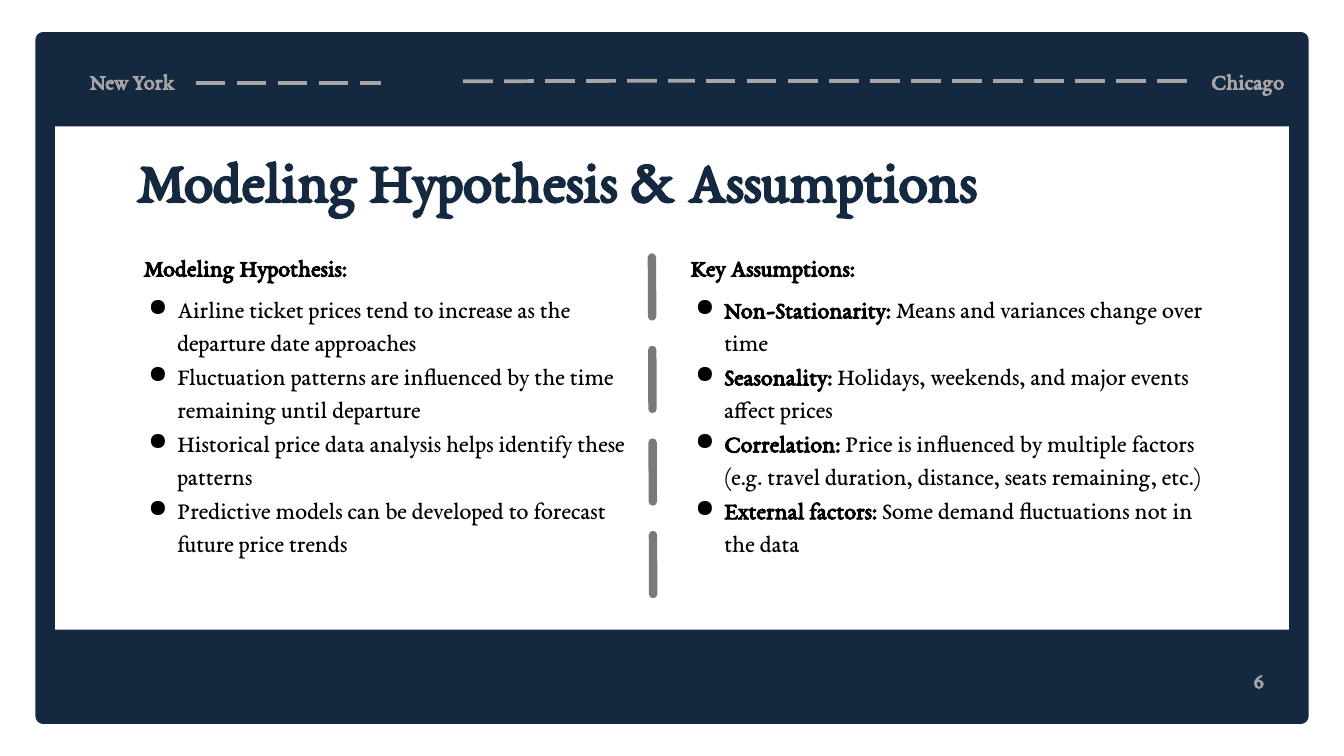
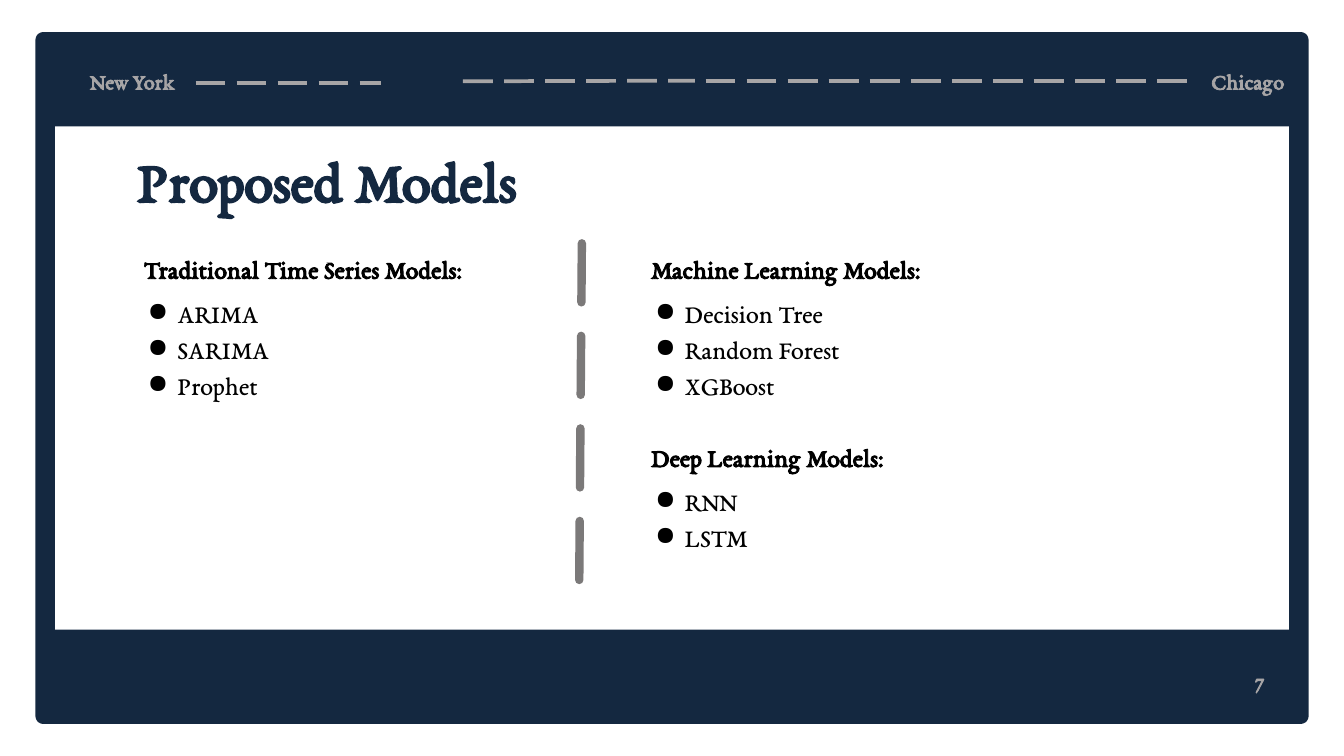
from lxml.etree import SubElement
from pptx import Presentation
from pptx.dml.color import RGBColor
from pptx.enum.dml import MSO_LINE
from pptx.enum.shapes import MSO_CONNECTOR as Wire, MSO_SHAPE as Shape
from pptx.enum.text import MSO_ANCHOR as Anchor, MSO_AUTO_SIZE as Fit, PP_ALIGN as Align
from pptx.oxml.ns import qn
from pptx.util import Pt

PX = 9144
NAVY, GRAY, STONE, BLACK, WHITE = "142840", "A7A5A6", "7B7979", "000000", "FFFFFF"
FONT = "EB Garamond"

CITIES = [("New York", 134, Align.LEFT), ("Chicago", 1684, Align.RIGHT)]
TRACKS = [(689, 121, 1034, 120), (1050, 120, 1767, 120), (291, 123, 567, 123)]

PLANS = [
    {
        "title": "Modeling Hypothesis & Assumptions",
        "page": "6",
        "rule": (972, 884, 970, 351),
        "look": {"size": 26, "hang": 43, "align": Align.LEFT},
        "lists": [
            ((204, 359, 753, 542), "Modeling Hypothesis:", [
                ("", "Airline ticket prices tend to increase as the departure date approaches"),
                ("", "Fluctuation patterns are influenced by the time remaining until departure"),
                ("", "Historical price data analysis helps identify these patterns"),
                ("", "Predictive models can be developed to forecast future price trends"),
            ]),
            ((1018, 359, 797, 479), "Key Assumptions:", [
                ("Non-Stationarity: ", "Means and variances change over time"),
                ("Seasonality:", " Holidays, weekends, and major events affect prices"),
                ("Correlation: ", "Price is influenced by multiple factors "
                 "(e.g. travel duration, distance, seats remaining, etc.)"),
                ("External factors: ", "Some demand fluctuations not in the data"),
            ]),
        ],
    },
    {
        "title": "Proposed Models",
        "page": "7",
        "rule": (862, 863, 866, 347),
        "look": {"size": 28, "hang": 44, "align": Align.JUSTIFY},
        "lists": [
            ((204, 359, 559, 243), "Traditional Time Series Models:",
             [("", "ARIMA"), ("", "SARIMA"), ("", "Prophet")]),
            ((959, 359, 924, 243), "Machine Learning Models:",
             [("", "Decision Tree"), ("", "Random Forest"), ("", "XGBoost")]),
            ((959, 639, 924, 188), "Deep Learning Models:",
             [("", "RNN"), ("", "LSTM")]),
        ],
    },
]


def tint(code):
    return RGBColor.from_string(code)


def scale(box):
    return [n * PX for n in box]


def apply(item, values):
    for name, value in values.items():
        setattr(item, name, value)


def set_frame(frame, inset=0):
    sides = ("left", "top", "right", "bottom")
    apply(frame, {f"margin_{side}": inset * PX for side in sides})
    apply(frame, {"word_wrap": True, "vertical_anchor": Anchor.TOP,
                  "auto_size": Fit.SHAPE_TO_FIT_TEXT})


def add_run(para, text, size, color, bold=True):
    run = para.add_run()
    run.text = text
    apply(run.font, {"name": FONT, "size": Pt(size), "bold": bold})
    run.font.color.rgb = tint(color)


def add_label(slide, box, text, align):
    frame = slide.shapes.add_textbox(*scale(box)).text_frame
    set_frame(frame)
    para = frame.paragraphs[0]
    para.alignment = align
    add_run(para, text, 24, GRAY)


def add_panel(slide, kind, box, color):
    panel = slide.shapes.add_shape(kind, *scale(box))
    panel.shadow.inherit = False
    panel.fill.solid()
    panel.fill.fore_color.rgb = tint(color)
    return panel


def add_dash(slide, ends, color, width, cap="flat"):
    wire = slide.shapes.add_connector(Wire.STRAIGHT, *scale(ends))
    apply(wire.line, {"width": Pt(width), "dash_style": MSO_LINE.LONG_DASH})
    wire.line.color.rgb = tint(color)
    wire.line._get_or_add_ln().set("cap", cap)
    SubElement(wire.element.spPr, qn("a:effectLst"))


def add_dot(para, hang):
    props = para._p.get_or_add_pPr()
    props.set("marL", str(50 * PX))
    props.set("indent", str(-hang * PX))
    color = SubElement(props, qn("a:buClr"))
    SubElement(color, qn("a:srgbClr"), val=BLACK)
    SubElement(props, qn("a:buChar"), char="●")


def add_list(slide, box, head, items, size, hang, align):
    frame = slide.shapes.add_textbox(*scale(box)).text_frame
    set_frame(frame, 10)
    para = frame.paragraphs[0]
    apply(para, {"alignment": Align.JUSTIFY, "line_spacing": 1.15, "space_before": Pt(9)})
    add_run(para, head, size, BLACK)
    for row, (lead, text) in enumerate(items):
        para = frame.add_paragraph()
        add_dot(para, hang)
        apply(para, {"alignment": align, "line_spacing": 1.15,
                     "space_before": Pt(0 if row else 9)})
        if lead:
            add_run(para, lead, size, BLACK)
        add_run(para, text, size, BLACK, False)


def add_frame(slide):
    card = add_panel(slide, Shape.ROUNDED_RECTANGLE, (59, 54, 1882, 1017), NAVY)
    card.adjustments[0] = 0.005
    card.line.width = Pt(9)
    card.line.color.rgb = tint(NAVY)
    page = add_panel(slide, Shape.RECTANGLE, (82, 188, 1836, 749), WHITE)
    page.line.fill.background()


def set_title(slide, text):
    title = slide.shapes.title
    title.element.getparent().append(title.element)
    apply(title, dict(zip(("left", "top", "width", "height"), scale((204, 242, 1494, 74)))))
    set_frame(title.text_frame)
    para = title.text_frame.paragraphs[0]
    apply(para, {"alignment": Align.LEFT, "line_spacing": 0.7, "space_before": Pt(0)})
    add_run(para, text, 63, NAVY)


def add_header(slide):
    for city, left, align in CITIES:
        add_label(slide, (left, 100, 227, 40), city, align)
    for ends in TRACKS:
        add_dash(slide, ends, GRAY, 4)


def add_slide(deck, plan):
    slide = deck.slides.add_slide(deck.slide_layouts[5])
    add_frame(slide)
    set_title(slide, plan["title"])
    add_dash(slide, plan["rule"], STONE, 9, "rnd")
    for box, head, items in plan["lists"]:
        add_list(slide, box, head, items, **plan["look"])
    add_label(slide, (1489, 991, 392, 40), plan["page"], Align.RIGHT)
    add_header(slide)


def main():
    deck = Presentation()
    apply(deck, {"slide_width": 2000 * PX, "slide_height": 1125 * PX})
    for plan in PLANS:
        add_slide(deck, plan)
    deck.save("out.pptx")


if __name__ == "__main__":
    main()
